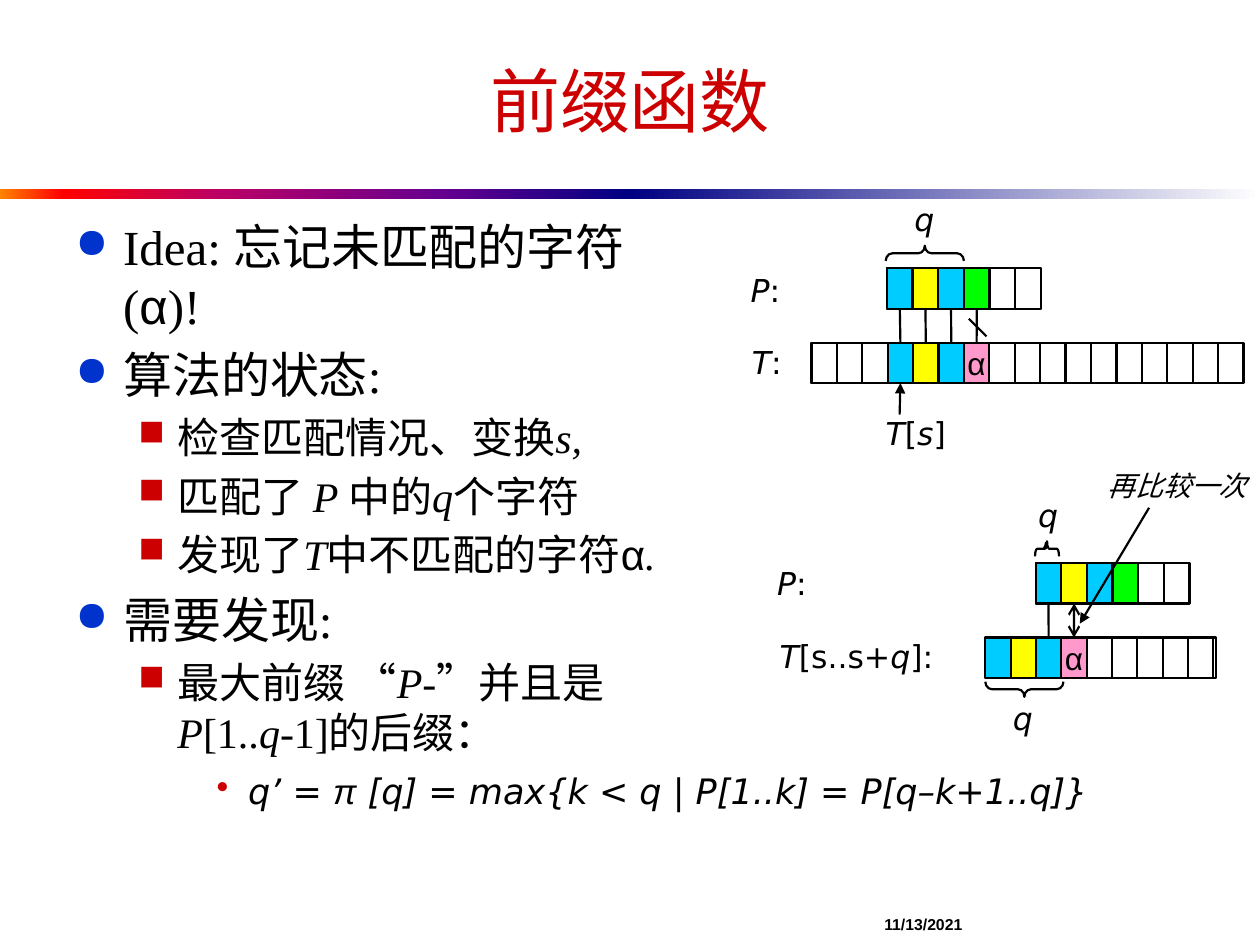
"""Build the slide on the prefix function of string matching."""
from dataclasses import dataclass
from typing import NamedTuple

from lxml import etree
from pptx import Presentation
from pptx import util as u
from pptx.dml.color import RGBColor
from pptx.enum import shapes, text
from pptx.oxml import ns

BLACK = RGBColor(0, 0, 0)
RED = RGBColor(0xCC, 0, 0)
BLUE = RGBColor(0, 0x33, 0xCC)
FILLS = {
    "c": RGBColor(0, 0xCC, 0xFF),
    "y": RGBColor(0xFF, 0xFF, 0),
    "g": RGBColor(0, 0xFF, 0),
    "α": RGBColor(0xFF, 0x99, 0xCC),
}
SERIF, SANS, DEJAVU = "Times New Roman", "Arial", "DejaVu Sans"
CELL_HEIGHT = 0.32
LINE_WIDTH = u.Pt(1.25)


class Run(NamedTuple):
    text: str
    italic: bool = False
    font: str = SERIF


class Level(NamedTuple):
    bullet: str
    color: RGBColor
    size: int
    margin: float
    hanging: float
    percent: int


@dataclass
class Row:
    left: float
    top: float
    width: float
    count: int
    cells: str
    frame_left: float


@dataclass
class Label:
    left: float
    top: float
    width: float
    runs: list
    height: float = 0.4
    size: int = 18
    wrap: bool = False


@dataclass
class Brace:
    left: float
    top: float
    height: float
    rotation: int
    flipped: bool
    curve: float


MAIN = Level("●", BLUE, 28, 0.38, 0.38, 85)
SUB = Level("■", RED, 24, 0.81, 0.31, 85)
FORMULA = Level("•", RED, 20, 1.25, 0.25, 100)

BODY = [
    (MAIN, [Run("Idea: 忘记未匹配的字符 ("), Run("α", font=SANS), Run(")!")]),
    (MAIN, [Run("算法的状态:")]),
    (SUB, [Run("检查匹配情况、变换"), Run("s,", True)]),
    (SUB, [Run("匹配了 "), Run("P ", True), Run("中的"), Run("q", True), Run("个字符")]),
    (SUB, [Run("发现了"), Run("T", True), Run("中不匹配的字符"),
           Run("α", font=SANS), Run(".", True)]),
    (MAIN, [Run("需要发现:")]),
    (SUB, [Run("最大前缀 "), Run("“", font=DEJAVU), Run("P", True), Run("-"),
           Run("”", font=DEJAVU), Run("并且是 "), Run("P", True), Run("[1.."),
           Run("q", True), Run("-1]"), Run("的后缀：", font=SANS)]),
]
EQUATION = [(FORMULA, [
    Run("q’ = ", True, DEJAVU), Run("π", True, SANS),
    Run(" [q] = max{k < q | P[1..k] = P[q–k+1..q]}", True, DEJAVU)])]

ROWS = [
    Row(6.44, 2.72, 3.43, 17, "...cycα.........", 6.44),
    Row(7.04, 2.13, 1.22, 6, "cycg.", 7.04),
    Row(7.82, 5.06, 1.81, 9, "cycα.....", 7.84),
    Row(8.22, 4.47, 1.22, 6, "cycg.", 8.22),
]
BRACES = [
    Brace(7.28, 1.7, 0.62, 90, True, 0.438),
    Brace(8.07, 5.16, 0.62, 270, False, 0.438),
    Brace(8.25, 4.26, 0.19, 90, True, 0.137),
]


def math_runs(*parts: str) -> list:
    """Alternate italic and upright runs."""
    return [Run(part, i % 2 == 0, DEJAVU) for i, part in enumerate(parts)]


LABELS = [
    Label(6.93, 3.24, 0.71, math_runs("T", "[", "s", "]")),
    Label(7.16, 1.54, 0.36, math_runs("q")),
    Label(5.87, 2.67, 0.47, math_runs("T", ":")),
    Label(5.86, 2.1, 0.47, math_runs("P", ":")),
    Label(7.94, 5.5, 0.36, math_runs("q")),
    Label(6.09, 5.01, 1.73, math_runs("T", "[s..s+", "q", "]:"), wrap=True),
    Label(6.07, 4.43, 0.67, math_runs("P", ":"), wrap=True),
    Label(8.14, 3.89, 0.43, math_runs("q’")),
    Label(8.69, 3.67, 1.31, math_runs("再比较一次"), 0.37, 16),
]


def box(*lengths: float) -> list:
    return [u.Inches(n) for n in lengths]


def add_run(p, run: Run, size: int, color: RGBColor = BLACK, bold: bool = False) -> None:
    r = p.add_run()
    r.text = run.text
    f = r.font
    f.name, f.size, f.italic, f.bold = run.font, u.Pt(size), run.italic, bold
    f.color.rgb = color


def add_xml(parent, tag: str, **attributes: str):
    return etree.SubElement(parent, ns.qn(tag), attributes)


def add_bullets(slide, place: tuple, paragraphs: list) -> None:
    tf = slide.shapes.add_textbox(*box(*place)).text_frame
    tf.word_wrap = True
    for i, (level, runs) in enumerate(paragraphs):
        p = tf.add_paragraph() if i else tf.paragraphs[0]
        ppr = p._p.get_or_add_pPr()
        ppr.set("marL", str(u.Inches(level.margin)))
        ppr.set("indent", str(-u.Inches(level.hanging)))
        add_xml(add_xml(ppr, "a:spcBef"), "a:spcPct", val="20000")
        add_xml(add_xml(ppr, "a:buClr"), "a:srgbClr", val=str(level.color))
        add_xml(ppr, "a:buSzPct", val=str(level.percent * 1000))
        add_xml(ppr, "a:buChar", char=level.bullet)
        for run in runs:
            add_run(p, run, level.size)


def add_label(slide, label: Label, bold: bool = False):
    s = slide.shapes.add_textbox(*box(label.left, label.top, label.width, label.height))
    tf = s.text_frame
    tf.word_wrap = label.wrap
    tf.auto_size = text.MSO_AUTO_SIZE.SHAPE_TO_FIT_TEXT
    for run in label.runs:
        add_run(tf.paragraphs[0], run, label.size, bold=bold)
    return s


def add_outline(slide, kind, place: tuple, fill=None):
    s = slide.shapes.add_shape(kind, *box(*place))
    s.shadow.inherit = False
    s.line.color.rgb, s.line.width = BLACK, LINE_WIDTH
    if fill is None:
        s.fill.background()
    else:
        s.fill.solid()
        s.fill.fore_color.rgb = fill
    return s


def add_row(slide, row: Row) -> list:
    rect = shapes.MSO_SHAPE.RECTANGLE
    add_outline(slide, rect, (row.frame_left, row.top, row.width, CELL_HEIGHT))
    pitch = row.width / row.count
    cells = []
    for i, code in enumerate(row.cells):
        s = add_outline(slide, rect, (row.left + i * pitch, row.top, pitch, CELL_HEIGHT),
                        FILLS.get(code))
        if code == "α":
            tf = s.text_frame
            tf.word_wrap = False
            tf.vertical_anchor = text.MSO_ANCHOR.MIDDLE
            tf.paragraphs[0].alignment = text.PP_ALIGN.CENTER
            add_run(tf.paragraphs[0], Run(code, font=SANS), 18)
        cells.append(s)
    return cells


def add_brace(slide, brace: Brace) -> None:
    s = add_outline(slide, shapes.MSO_SHAPE.LEFT_BRACE,
                    (brace.left, brace.top, 0.12, brace.height))
    s.adjustments[0], s.adjustments[1] = brace.curve, 0.5
    s.rotation = brace.rotation
    if brace.flipped:
        s._element.spPr.xfrm.set("flipV", "1")


def add_line(slide, ends: tuple = (0, 0, 0, 0), start=None, stop=None, head="", tail=""):
    s = slide.shapes.add_connector(shapes.MSO_CONNECTOR.STRAIGHT, *box(*ends))
    s.line.color.rgb, s.line.width = BLACK, LINE_WIDTH
    if start:
        s.begin_connect(*start)
    if stop:
        s.end_connect(*stop)
    ln = s.line._get_or_add_ln()
    for tag, kind in (("a:headEnd", head), ("a:tailEnd", tail)):
        if kind:
            add_xml(ln, tag, type=kind)
    add_xml(s._element.spPr, "a:effectLst")


def add_band(slide, left: float, stops: list) -> None:
    s = slide.shapes.add_shape(shapes.MSO_SHAPE.RECTANGLE, *box(left, 1.5, 5, 0.08))
    s.shadow.inherit = False
    s.line.fill.background()
    s.fill.gradient()
    s.fill.gradient_angle = 0
    gs_list = s._element.spPr.find(".//" + ns.qn("a:gsLst"))
    for gs in list(gs_list):
        gs_list.remove(gs)
    for percent, color in stops:
        gs = add_xml(gs_list, "a:gs", pos=str(percent * 1000))
        add_xml(gs, "a:srgbClr", val=color)


def main() -> None:
    prs = Presentation()
    prs.slide_width, prs.slide_height = box(10, 7.5)
    slide = prs.slides.add_slide(prs.slide_layouts[5])
    add_band(slide, 0, [(0, "FF8200"), (10, "FF0000"), (35, "BA0066"),
                        (70, "66008F"), (100, "000082")])
    add_band(slide, 5, [(0, "000082"), (100, "FFFFFF")])

    title = slide.shapes.title
    title.left, title.top, title.width, title.height = box(0.5, 0.25, 9, 1.08)
    title.text_frame.vertical_anchor = text.MSO_ANCHOR.MIDDLE
    p = title.text_frame.paragraphs[0]
    p.alignment = text.PP_ALIGN.CENTER
    add_run(p, Run("前缀函数", font=SANS), 40, RED)

    date = Label(6.92, 7.17, 0.82, [Run("11/13/2021", font=SANS)], 0.33, 9)
    s = add_label(slide, date, bold=True)
    s.text_frame.vertical_anchor = text.MSO_ANCHOR.MIDDLE
    add_bullets(slide, (0.5, 1.67, 5.1, 4.6), BODY)
    add_bullets(slide, (0.62, 6.06, 9.38, 0.76), EQUATION)

    t, p1, t_part, p2 = [add_row(slide, row) for row in ROWS]
    for i in range(4):
        add_line(slide, start=(p1[i], 2), stop=(t[i + 3], 0))
    add_line(slide, (7.69, 2.53, 7.83, 2.67))
    add_line(slide, start=(p2[0], 2), stop=(t_part[2], 0))
    add_line(slide, start=(p2[1], 2), stop=(t_part[3], 0), head="arrow", tail="arrow")
    add_line(slide, (9.12, 4.03, 8.57, 4.95), tail="triangle")
    add_line(slide, (7.14, 3.29, 7.14, 3.04), stop=(t[3], 2), tail="triangle")
    for brace in BRACES:
        add_brace(slide, brace)
    for label in LABELS:
        add_label(slide, label)
    prs.save("out.pptx")


if __name__ == "__main__":
    main()
